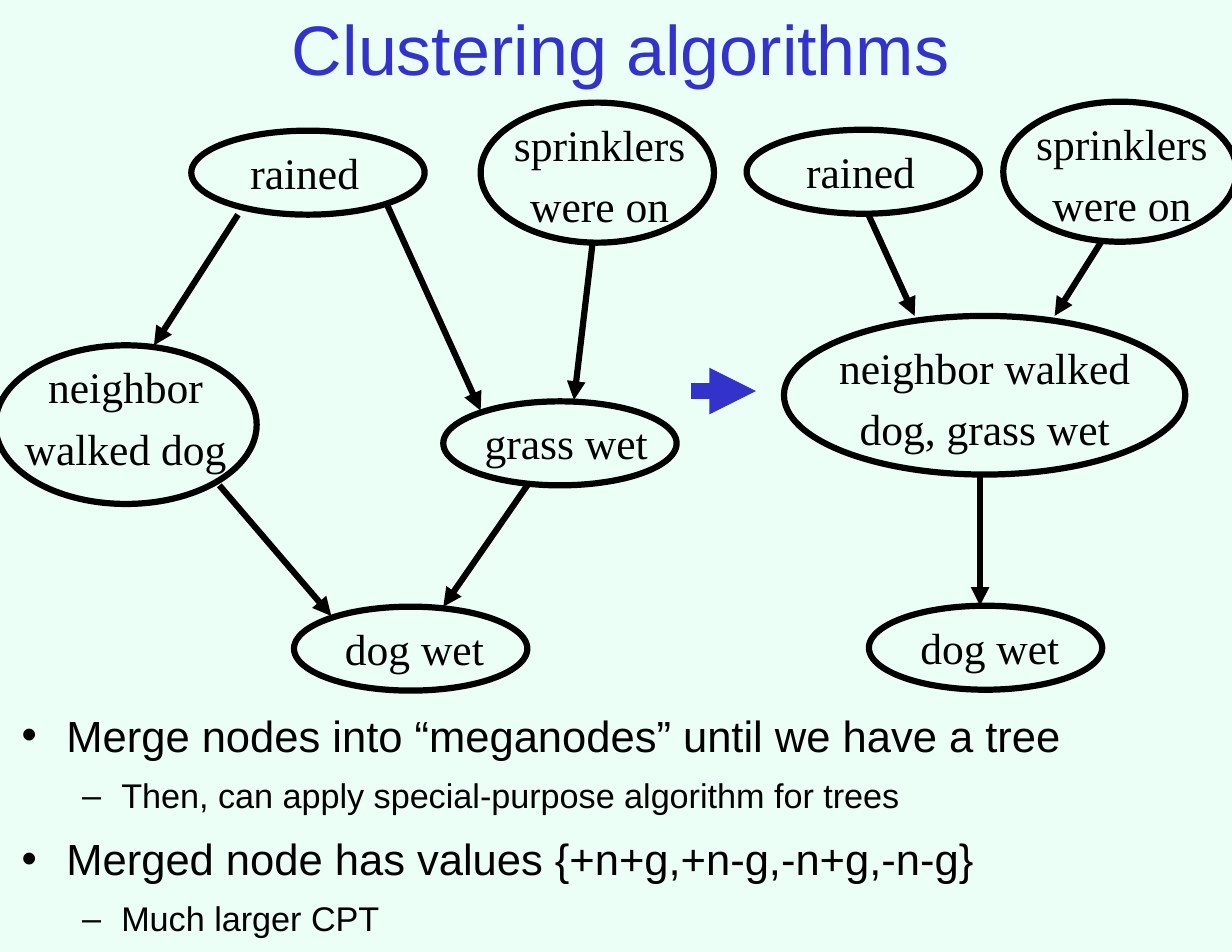
import pptx
import pptx.dml.color
import pptx.enum.shapes
import pptx.enum.text
import pptx.util
from lxml import etree
from pptx.oxml.ns import qn

COLORS = {"background": "EBFFF7", "accent": "3333CC", "ink": "000000"}
COLUMNS, ROWS = 264, 204  # 24 grid units to the inch
SLIDE_WIDTH, SLIDE_HEIGHT = pptx.util.Inches(11), pptx.util.Inches(8.5)
# Bullet levels: sign, left margin and hanging indent in inches, size, space before
LEVELS = [("•", 0.4, 0.4, 28, 9), ("–", 0.89, 0.35, 22, 7.7)]


def color(name):
    return pptx.dml.color.RGBColor.from_string(COLORS[name])


class Diagram:
    def __init__(self, slide):
        self.slide = slide
        self.slide.background.fill.solid()
        self.slide.background.fill.fore_color.rgb = color("background")

    def x(self, column):
        return round(SLIDE_WIDTH * column / COLUMNS)

    def y(self, row):
        return round(SLIDE_HEIGHT * row / ROWS)

    def box(self, column, row, width, height):
        return self.x(column), self.y(row), self.x(width), self.y(height)

    def style(self, paragraph, text, size, name, font, spacing, centered=True):
        paragraph.text = text
        paragraph.line_spacing = spacing
        paragraph.font.size = pptx.util.Pt(size)
        paragraph.font.name = font
        paragraph.font.color.rgb = color(name)
        if centered:
            paragraph.alignment = pptx.enum.text.PP_ALIGN.CENTER

    def text_frame(self, box, inset_x, inset_y):
        frame = self.slide.shapes.add_textbox(*self.box(*box)).text_frame
        frame.word_wrap = True
        frame.margin_left = frame.margin_right = pptx.util.Inches(inset_x)
        frame.margin_top = frame.margin_bottom = pptx.util.Inches(inset_y)
        return frame

    def title(self, text, box):
        frame = self.text_frame(box, 0.11, 0.06)
        frame.vertical_anchor = pptx.enum.text.MSO_ANCHOR.MIDDLE
        self.style(frame.paragraphs[0], text, 45, "accent", "Arial", 1.24)

    def bullets(self, items, box):
        frame = self.text_frame(box, 0.11, 0.06)
        for index, (level, text) in enumerate(items):
            sign, margin, hanging, size, space = LEVELS[level]
            paragraph = frame.add_paragraph() if index else frame.paragraphs[0]
            self.style(paragraph, text, size, "ink", "Arial", 1.04, centered=False)
            paragraph.level = level
            paragraph.space_before = pptx.util.Pt(space)
            properties = paragraph._p.get_or_add_pPr()
            properties.set("marL", str(pptx.util.Inches(margin)))
            properties.set("indent", str(-pptx.util.Inches(hanging)))
            defaults = properties.find(qn("a:defRPr"))
            defaults.addprevious(etree.Element(qn("a:buFont"), typeface="Arial"))
            defaults.addprevious(etree.Element(qn("a:buChar"), char=sign))

    def node(self, text, ellipse, label_center, label_width=64, label_drop=0):
        """Outlined ellipse with its label; tall ellipses hold two lines."""
        column, row, width, height = ellipse
        label_height = 28.8 if height > 18 else 15.6
        frame = self.text_frame(
            (label_center - label_width / 2, row + label_drop, label_width, label_height),
            0.1, 0.05)
        frame.auto_size = pptx.enum.text.MSO_AUTO_SIZE.SHAPE_TO_FIT_TEXT
        self.style(frame.paragraphs[0], text, 28, "ink", "Times New Roman", 1.18)

        shape = self.slide.shapes.add_shape(
            pptx.enum.shapes.MSO_SHAPE.OVAL, *self.box(*ellipse))
        shape.shadow.inherit = False
        shape.fill.background()
        shape.line.color.rgb = color("ink")
        shape.line.width = pptx.util.Pt(4)

    def arrow(self, start, end, name="ink", weight=4):
        connector = self.slide.shapes.add_connector(
            pptx.enum.shapes.MSO_CONNECTOR.STRAIGHT,
            self.x(start[0]), self.y(start[1]), self.x(end[0]), self.y(end[1]))
        connector.line.color.rgb = color(name)
        connector.line.width = pptx.util.Pt(weight)
        etree.SubElement(connector.line._get_or_add_ln(), qn("a:tailEnd"), type="triangle")
        etree.SubElement(connector._element.spPr, qn("a:effectLst"))


def main():
    presentation = pptx.Presentation()
    presentation.slide_width, presentation.slide_height = SLIDE_WIDTH, SLIDE_HEIGHT
    diagram = Diagram(presentation.slides.add_slide(presentation.slide_layouts[6]))

    # Title and explanation
    diagram.title("Clustering algorithms", (-2, 0, 270, 16))
    diagram.bullets([
        (0, "Merge nodes into “meganodes” until we have a tree"),
        (1, "Then, can apply special-purpose algorithm for trees"),
        (0, "Merged node has values {+n+g,+n-g,-n+g,-n-g}"),
        (1, "Much larger CPT"),
    ], (2, 150, 262, 56))

    # Network before clustering
    diagram.node("rained", (41, 28, 50, 18), 65.3)
    diagram.node("sprinklers were on", (103, 22, 50, 30), 128.5, 55)
    diagram.node("neighbor walked dog", (-1, 74, 56, 34), 26.9)
    diagram.node("grass wet", (95, 86, 50, 18), 121.3)
    diagram.node("dog wet", (63, 130, 50, 18), 88.8)

    # Network after clustering
    diagram.node("rained", (160, 27.8, 50, 18), 184.4)
    diagram.node("sprinklers were on", (215, 21.8, 50, 30), 240.4, 55)
    diagram.node("neighbor walked dog, grass wet", (168, 67.7, 86, 34), 211, 74, 2.1)
    diagram.node("dog wet", (186.2, 129.8, 50, 18), 212.1)

    # Dependencies in both networks
    for start, end in [
        ((51, 46), (33, 74)), ((83, 44), (103, 88)), ((127, 52), (123, 85.7)),
        ((47, 104), (71, 132)), ((113, 104), (95, 130)),
        ((186, 45.8), (196, 67.7)), ((236, 51.8), (226, 67.7)),
        ((210, 101.8), (210, 129.8)),
    ]:
        diagram.arrow(start, end)

    # Step from one network to the other
    diagram.arrow((148, 83.8), (162, 83.8), "accent", 10)

    presentation.save("out.pptx")


if __name__ == "__main__":
    main()
